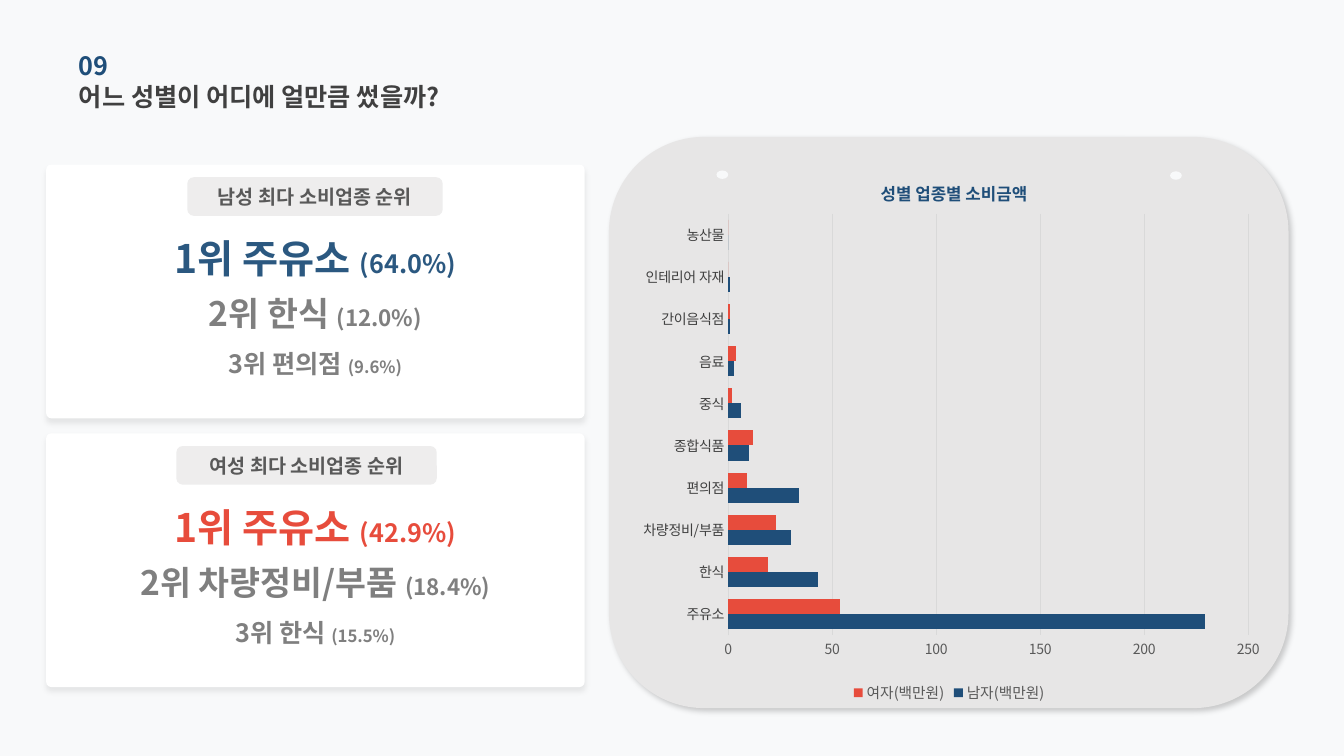
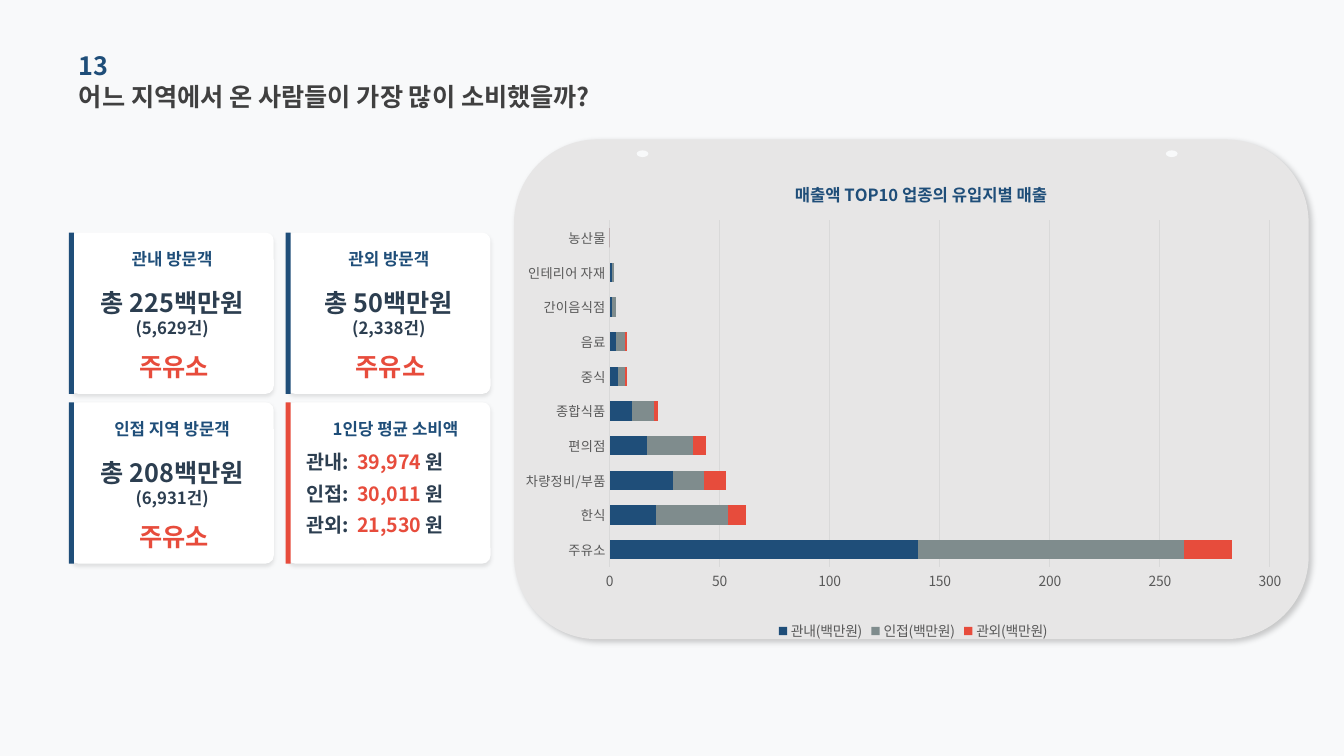
from dataclasses import dataclass
from typing import Any, Optional

from lxml import etree
from pptx import Presentation
from pptx.chart.data import CategoryChartData
from pptx.dml.color import RGBColor
from pptx.enum.chart import XL_CHART_TYPE, XL_LEGEND_POSITION, XL_TICK_MARK
from pptx.enum.shapes import MSO_SHAPE
from pptx.enum.text import MSO_ANCHOR, MSO_AUTO_SIZE, PP_ALIGN
from pptx.oxml.ns import qn
from pptx.util import Pt

ROUND, RECT, OVAL = MSO_SHAPE.ROUNDED_RECTANGLE, MSO_SHAPE.RECTANGLE, MSO_SHAPE.OVAL
LEFT, CENTER = PP_ALIGN.LEFT, PP_ALIGN.CENTER
TOP, MIDDLE = MSO_ANCHOR.TOP, MSO_ANCHOR.MIDDLE
CLUSTER, STACK = XL_CHART_TYPE.BAR_CLUSTERED, XL_CHART_TYPE.BAR_STACKED
BOTTOM, NO_TICK = XL_LEGEND_POSITION.BOTTOM, XL_TICK_MARK.NONE
FIXED = MSO_AUTO_SIZE.NONE

COLS, ROWS = 160, 90
UNIT = 76200  # one grid cell, a twelfth of an inch


@dataclass(frozen=True)
class Theme:
    font: str = "Noto Sans CJK KR"
    page: str = "F8F9FA"
    panel: str = "E7E6E6"
    white: str = "FFFFFF"
    navy: str = "1F4E79"
    blue: str = "2B5880"
    red: str = "E74C3C"
    slate: str = "7F8C8D"
    dark: str = "404040"
    ink: str = "2C3E50"
    gray: str = "7F7F7F"
    label: str = "595959"
    pill: str = "D0CECE"
    rule: str = "D9D9D9"
    huge: int = 28
    large: int = 24
    head: int = 18
    sub: int = 16
    body: int = 14
    small: int = 12
    tick: int = 10


T = Theme()


@dataclass(frozen=True)
class Box:
    x: float
    y: float
    w: float
    h: float

    def emu(self) -> list[int]:
        return [round(n * UNIT) for n in (self.x, self.y, self.w, self.h)]


@dataclass(frozen=True)
class Shade:
    alpha: int
    blur: int
    dist: int
    angle: int


@dataclass(frozen=True)
class Run:
    text: str
    size: int
    color: str


@dataclass(frozen=True)
class Line:
    runs: tuple[Run, ...]
    before: float = 0


@dataclass(frozen=True)
class Rank:
    head: str
    pill: tuple[float, float]
    color: str
    items: tuple[tuple[str, str], ...]


@dataclass(frozen=True)
class Stat:
    head: str
    total: str
    count: str
    place: str


@dataclass(frozen=True)
class Graph:
    kind: Any
    box: Box
    title: str
    spot: tuple[float, float]
    plot: tuple[float, float, float, float]
    top: int
    ticks: tuple[float, str]
    legend: float
    series: tuple[tuple[str, str, tuple[int, ...]], ...]


PANEL, LIST, CARD = Shade(20, 4, 3, 45), Shade(8, 4, 3, 90), Shade(10, 3, 2, 90)
SIZES = ((T.huge, T.head, 0), (T.large, T.sub, 8.5), (T.head, T.small, 10.5))
KINDS = ("주유소", "한식", "차량정비/부품", "편의점", "종합식품", "중식", "음료",
         "간이음식점", "인테리어 자재", "농산물")

RANKS = (
    Rank("남성 최다 소비업종 순위", (22.3, 30.4), T.blue,
         (("1위 주유소 ", "(64.0%)"), ("2위 한식 ", "(12.0%)"), ("3위 편의점 ", "(9.6%)"))),
    Rank("여성 최다 소비업종 순위", (21, 31), T.red,
         (("1위 주유소 ", "(42.9%)"), ("2위 차량정비/부품 ", "(18.4%)"), ("3위 한식 ", "(15.5%)"))),
)
STATS = (
    Stat("관내 방문객", "총 225백만원", "(5,629건)", "주유소"),
    Stat("관외 방문객", "총 50백만원", "(2,338건)", "주유소"),
    Stat("인접 지역 방문객", "총 208백만원", "(6,931건)", "주유소"),
)
MEANS = (("관내:", "39,974 "), ("인접:", "30,011 "), ("관외:", "21,530 "))

GENDER = Graph(
    CLUSTER, Box(74.3, 18.2, 77.4, 66), "성별 업종별 소비금액", (0.39, 0.04),
    (0.16, 0.11, 0.8, 0.76), 250, (10, T.dark), 10.5,
    (("남자(백만원)", T.navy, (229, 43, 30, 34, 10, 6, 3, 1, 1, 0)),
     ("여자(백만원)", T.red, (54, 19, 23, 9, 12, 2, 4, 1, 0, 0))))
ORIGIN = Graph(
    STACK, Box(62.6, 18.7, 91.3, 58.1), "매출액 TOP10 업종의 유입지별 매출", (0.34, 0.04),
    (0.1, 0.13, 0.87, 0.71), 300, (9.5, T.label), 10,
    (("관내(백만원)", T.navy, (140, 21, 29, 17, 10, 4, 3, 1, 1, 0)),
     ("인접(백만원)", T.slate, (121, 33, 14, 21, 10, 3, 4, 2, 1, 0)),
     ("관외(백만원)", T.red, (22, 8, 10, 6, 2, 1, 1, 0, 0, 0))))


def rgb(code: str) -> RGBColor:
    return RGBColor.from_string(code)


def style(font: Any, size: float, color: str, bold: bool = False) -> None:
    font.name, font.size, font.bold = T.font, Pt(size), bold
    font.color.rgb = rgb(color)


def pair(root: Any) -> None:
    """Give every Latin font its East Asian twin."""
    for node in list(root.iter(qn("a:latin"))):
        twin = etree.Element(qn("a:ea"))
        twin.set("typeface", node.get("typeface"))
        node.addnext(twin)


def write(shape: Any, lines: tuple[Line, ...], align: Any = LEFT, anchor: Any = MIDDLE,
          tab: Optional[float] = None) -> None:
    frame = shape.text_frame
    frame.word_wrap, frame.auto_size, frame.vertical_anchor = True, FIXED, anchor
    frame.margin_left = frame.margin_right = frame.margin_top = frame.margin_bottom = 0
    for i, line in enumerate(lines):
        para = frame.paragraphs[0] if i == 0 else frame.add_paragraph()
        props = para._p.get_or_add_pPr()
        props.set("marL", "0")
        props.set("indent", "0")
        etree.SubElement(props, qn("a:buNone"))
        if tab:
            stops = etree.SubElement(props, qn("a:tabLst"))
            etree.SubElement(stops, qn("a:tab"), pos=str(round(tab * UNIT)), algn="l")
        para.alignment, para.space_before = align, Pt(line.before)
        for part in line.runs:
            run = para.add_run()
            run.text = part.text
            style(run.font, part.size, part.color, True)


def label(slide: Any, box: Box, lines: tuple[Line, ...], align: Any = CENTER) -> None:
    write(slide.shapes.add_textbox(*box.emu()), lines, align)


def one(text: str, size: int, color: str) -> tuple[Line, ...]:
    return (Line((Run(text, size, color),)),)


def draw(slide: Any, kind: Any, box: Box, color: str, shade: Optional[Shade] = None,
         curve: Optional[float] = None, alpha: Optional[int] = None) -> Any:
    shape = slide.shapes.add_shape(kind, *box.emu())
    shape.fill.solid()
    shape.fill.fore_color.rgb = rgb(color)
    shape.line.fill.background()
    shape.shadow.inherit = False
    if curve is not None:
        shape.adjustments[0] = curve
    props = shape.element.spPr
    if alpha is not None:
        tint = props.find(f"{qn('a:solidFill')}/{qn('a:srgbClr')}")
        etree.SubElement(tint, qn("a:alpha"), val=str(alpha * 1000))
    if shade:
        cast = etree.SubElement(
            props.find(qn("a:effectLst")), qn("a:outerShdw"), blurRad=str(Pt(shade.blur)),
            dist=str(Pt(shade.dist)), dir=str(shade.angle * 60000), algn="t", rotWithShape="0")
        tint = etree.SubElement(cast, qn("a:srgbClr"), val="000000")
        etree.SubElement(tint, qn("a:alpha"), val=str(shade.alpha * 1000))
    return shape


def body(slide: Any, index: int, box: Box) -> Any:
    """Move a body placeholder into the box and in front of the cards."""
    shape = slide.placeholders[index]
    shape.left, shape.top, shape.width, shape.height = box.emu()
    slide.shapes.element.append(shape.element)
    return shape


def start(deck: Any, layout: int, number: str, title: str, panel: Box,
          holes: tuple[Box, ...]) -> Any:
    slide = deck.slides.add_slide(deck.slide_layouts[layout])
    head = slide.shapes.title
    head.left, head.top, head.width, head.height = Box(9.4, 9, 64.2, 4.9).emu()
    write(head, one(title, T.head, T.dark))
    label(slide, Box(9.4, 5.3, 54.2, 4.9), one(number, T.head, T.navy), LEFT)
    draw(slide, ROUND, panel, T.panel, PANEL)
    for hole in holes:
        draw(slide, OVAL, hole, T.page)
    return slide


def fix(node: Any, index: int, **parts: float) -> None:
    """Pin a chart part by shares of the chart area."""
    old = node.find(qn("c:layout"))
    if old is not None:
        node.remove(old)
    layout = etree.Element(qn("c:layout"))
    node.insert(index, layout)
    manual = etree.SubElement(layout, qn("c:manualLayout"))
    if "w" in parts:
        etree.SubElement(manual, qn("c:layoutTarget"), val="inner")
    for key in ("x", "y"):
        etree.SubElement(manual, qn(f"c:{key}Mode"), val="edge")
    for key, share in parts.items():
        etree.SubElement(manual, qn(f"c:{key}"), val=str(share))


def plot(slide: Any, graph: Graph) -> None:
    data = CategoryChartData()
    data.categories = KINDS
    for name, _, values in graph.series:
        data.add_series(name, values)
    chart = slide.shapes.add_chart(graph.kind, *graph.box.emu(), data).chart
    style(chart.font, T.tick, T.label)
    chart.has_title = True
    run = chart.chart_title.text_frame.paragraphs[0].add_run()
    run.text = graph.title
    style(run.font, T.small, T.navy, True)
    chart.has_legend = True
    chart.legend.position, chart.legend.include_in_layout = BOTTOM, False
    style(chart.legend.font, graph.legend, T.label)

    kinds, scale = chart.category_axis, chart.value_axis
    for axis, look in ((kinds, graph.ticks), (scale, (T.tick, T.label))):
        axis.major_tick_mark = axis.minor_tick_mark = NO_TICK
        style(axis.tick_labels.font, *look)
    kinds.has_major_gridlines, scale.has_major_gridlines = False, True
    for rule in (kinds.format.line, scale.major_gridlines.format.line):
        rule.color.rgb, rule.width = rgb(T.rule), Pt(0.75)
    scale.format.line.fill.background()
    scale.minimum_scale, scale.maximum_scale, scale.major_unit = 0, graph.top, 50

    bars = chart.plots[0]
    bars.gap_width, bars.vary_by_categories = 80, False
    bars.overlap = 100 if graph.kind == STACK else 0
    for item, (_, color, _) in zip(bars.series, graph.series):
        item.invert_if_negative = False
        item.format.fill.solid()
        item.format.fill.fore_color.rgb = rgb(color)
    root = chart.element
    fix(next(root.iter(qn("c:title"))), 1, **dict(zip("xy", graph.spot)))
    fix(next(root.iter(qn("c:plotArea"))), 0, **dict(zip("xywh", graph.plot)))
    pair(root)


def rank(slide: Any, row: int, item: Rank) -> None:
    card = Box(5.5, 19.6 + 32 * row, 64.1, 30.2)
    draw(slide, ROUND, card, T.white, LIST, 0.02)
    left, wide = item.pill
    pill = draw(slide, ROUND, Box(left, card.y + 1.5, wide, 4.6), T.pill, alpha=36)
    write(pill, one(item.head, T.body, T.label), CENTER)
    lines = tuple(
        Line((Run(name, big, color), Run(share, small, color)), gap)
        for (name, share), (big, small, gap), color
        in zip(item.items, SIZES, (item.color, T.gray, T.gray)))
    write(body(slide, row + 1, Box(card.x, card.y + 8.3, card.w, 21)), lines, CENTER, TOP)


def card(slide: Any, cell: int, color: str, head: str, shift: float = 0) -> Box:
    """Draw a titled card in a cell of the two by two grid."""
    box = Box(8.4 + 25.8 * (cell % 2), 27.7 + 20.2 * (cell // 2), 24.2, 19.2)
    draw(slide, ROUND, box, T.white, CARD, 0.05)
    draw(slide, RECT, Box(box.x - 0.2, box.y, 0.6, box.h), color)
    label(slide, Box(box.x + shift, box.y + 1.3, box.w, 3.7), one(head, T.small, T.navy))
    return box


def stat(slide: Any, cell: int, item: Stat) -> None:
    box = card(slide, cell, T.navy, item.head)
    total = one(item.total, T.head, T.ink) + one(item.count, T.small, T.ink)
    label(slide, Box(box.x, box.y + 6.7, box.w, 5.6), total)
    label(slide, Box(box.x + 0.2, box.y + 13.1, box.w, 5.6), one(item.place, T.head, T.red))


def main() -> None:
    deck = Presentation()
    deck.slide_width, deck.slide_height = COLS * UNIT, ROWS * UNIT
    fill = deck.slide_master.background.fill
    fill.solid()
    fill.fore_color.rgb = rgb(T.page)

    slide = start(deck, 3, "09", "어느 성별이 어디에 얼만큼 썼을까?", Box(72.5, 16.3, 80.9, 68),
                  (Box(85.3, 20.3, 1.4, 1), Box(139.3, 20.4, 1.4, 1)))
    for row, item in enumerate(RANKS):
        rank(slide, row, item)
    plot(slide, GENDER)

    slide = start(deck, 1, "13", "어느 지역에서 온 사람들이 가장 많이 소비했을까?",
                  Box(61.2, 16.6, 94.6, 59.5),
                  (Box(75.8, 17.9, 1.4, 0.8), Box(138.8, 17.9, 1.4, 0.8)))
    for cell, item in enumerate(STATS):
        stat(slide, cell, item)
    box = card(slide, 3, T.red, "1인당 평균 소비액", 0.8)
    lines = tuple(
        Line((Run(f"{name}\t", T.body, T.ink), Run(mean, T.body, T.red),
              Run("원", T.body, T.ink)), 5.5 if i else 0)
        for i, (name, mean) in enumerate(MEANS))
    write(body(slide, 1, Box(box.x + 2.3, box.y + 5.7, 21, 13)), lines, LEFT, TOP, 6.5)
    plot(slide, ORIGIN)

    for slide in deck.slides:
        pair(slide.element)
    deck.save("out.pptx")


if __name__ == "__main__":
    main()
